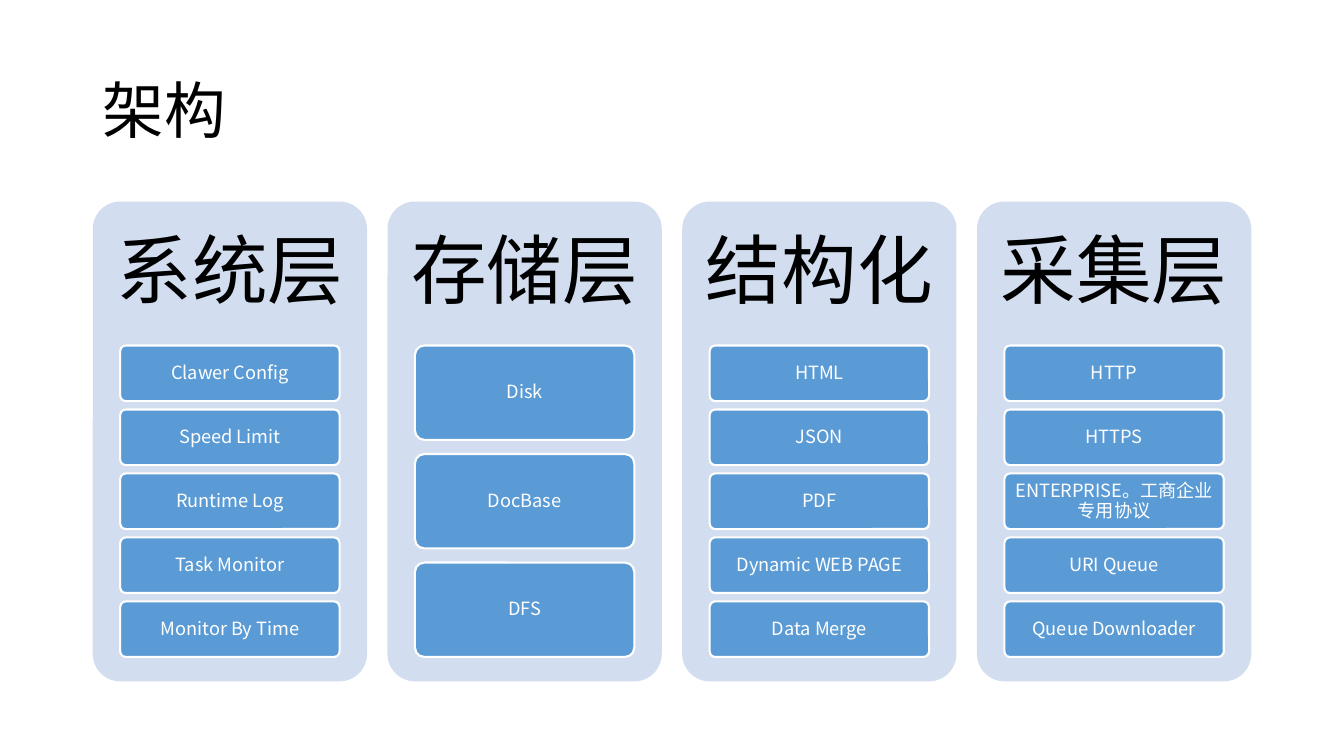
from lxml import etree
from pptx import Presentation
from pptx.dml.color import RGBColor
from pptx.enum.shapes import MSO_SHAPE
from pptx.enum.text import MSO_ANCHOR, MSO_AUTO_SIZE, PP_ALIGN
from pptx.oxml.ns import qn
from pptx.util import Inches, Pt

ROUNDED = MSO_SHAPE.ROUNDED_RECTANGLE
MIDDLE = MSO_ANCHOR.MIDDLE
LEFT, CENTER = PP_ALIGN.LEFT, PP_ALIGN.CENTER
NO_AUTOFIT = MSO_AUTO_SIZE.NONE

BLACK = RGBColor(0x00, 0x00, 0x00)
WHITE = RGBColor(0xFF, 0xFF, 0xFF)
PANEL_BLUE = RGBColor(0xD2, 0xDE, 0xEF)
ITEM_BLUE = RGBColor(0x5B, 0x9B, 0xD5)
FONT = "Noto Sans CJK SC"

# Grid, in inches
MARGIN = 0.92
CONTENT_WIDTH = 11.49
PANEL_TOP, PANEL_WIDTH, PANEL_HEIGHT = 2, 2.72, 4.76
HEADER_HEIGHT = 0.3 * PANEL_HEIGHT
ITEM_WIDTH = 0.8 * PANEL_WIDTH
ITEMS_TOP, ITEMS_HEIGHT = PANEL_TOP + HEADER_HEIGHT, 3.09
GAP_SHARE = 0.15  # gap between items as a share of item height

LAYERS = [
    ("系统层", ["Clawer Config", "Speed Limit", "Runtime Log",
             "Task Monitor", "Monitor By Time"]),
    ("存储层", ["Disk", "DocBase", "DFS"]),
    ("结构化", ["HTML", "JSON", "PDF", "Dynamic WEB PAGE", "Data Merge"]),
    ("采集层", ["HTTP", "HTTPS", "ENTERPRISE。工商企业专用协议",
             "URI Queue", "Queue Downloader"]),
]


def write_text(shape, text, size, color, align, margins, space_share=0):
    """Fill a shape with one vertically centred paragraph."""
    frame = shape.text_frame
    frame.word_wrap = True
    frame.auto_size = NO_AUTOFIT
    frame.vertical_anchor = MIDDLE
    frame.margin_left = frame.margin_right = Inches(margins[0])
    frame.margin_top = frame.margin_bottom = Inches(margins[1])
    paragraph = frame.paragraphs[0]
    paragraph.alignment = align
    paragraph.line_spacing = 0.9
    paragraph.space_after = Pt(size * space_share)
    run = paragraph.add_run()
    run.text = text
    run.font.size = Pt(size)
    run.font.color.rgb = color
    run.font.name = FONT
    east_asian = etree.SubElement(run.font._element, qn("a:ea"))
    east_asian.set("typeface", FONT)


def add_rounded_box(left, top, width, height, color):
    """Add a flat rounded rectangle without an outline."""
    shape = slide.shapes.add_shape(
        ROUNDED, Inches(left), Inches(top), Inches(width), Inches(height))
    shape.adjustments[0] = 0.1
    shape.shadow.inherit = False
    shape.fill.solid()
    shape.fill.fore_color.rgb = color
    shape.line.fill.background()
    return shape


presentation = Presentation()
presentation.slide_width = Inches(13.33)
presentation.slide_height = Inches(7.5)
slide = presentation.slides.add_slide(presentation.slide_layouts[5])

title = slide.shapes.title
title.left, title.top = Inches(MARGIN), Inches(0.4)
title.width, title.height = Inches(CONTENT_WIDTH), Inches(1.45)
write_text(title, "架构", 44, BLACK, LEFT, (0.1, 0.05))

column_step = (CONTENT_WIDTH - PANEL_WIDTH) / (len(LAYERS) - 1)
for column, (layer_name, items) in enumerate(LAYERS):
    panel_left = MARGIN + column * column_step
    add_rounded_box(panel_left, PANEL_TOP, PANEL_WIDTH, PANEL_HEIGHT, PANEL_BLUE)
    header = slide.shapes.add_textbox(
        Inches(panel_left), Inches(PANEL_TOP), Inches(PANEL_WIDTH), Inches(HEADER_HEIGHT))
    write_text(header, layer_name, 54, BLACK, CENTER, (0.2, 0.23), 0.35)

    item_left = panel_left + (PANEL_WIDTH - ITEM_WIDTH) / 2
    item_height = ITEMS_HEIGHT / (len(items) + (len(items) - 1) * GAP_SHARE)
    for row, item_name in enumerate(items):
        item_top = ITEMS_TOP + row * item_height * (1 + GAP_SHARE)
        item = add_rounded_box(item_left, item_top, ITEM_WIDTH, item_height, ITEM_BLUE)
        item.line.color.rgb = WHITE
        item.line.width = Pt(1.5)
        write_text(item, item_name, 13, WHITE, CENTER, (0.04, 0.03), 0.35)

presentation.save("out.pptx")
